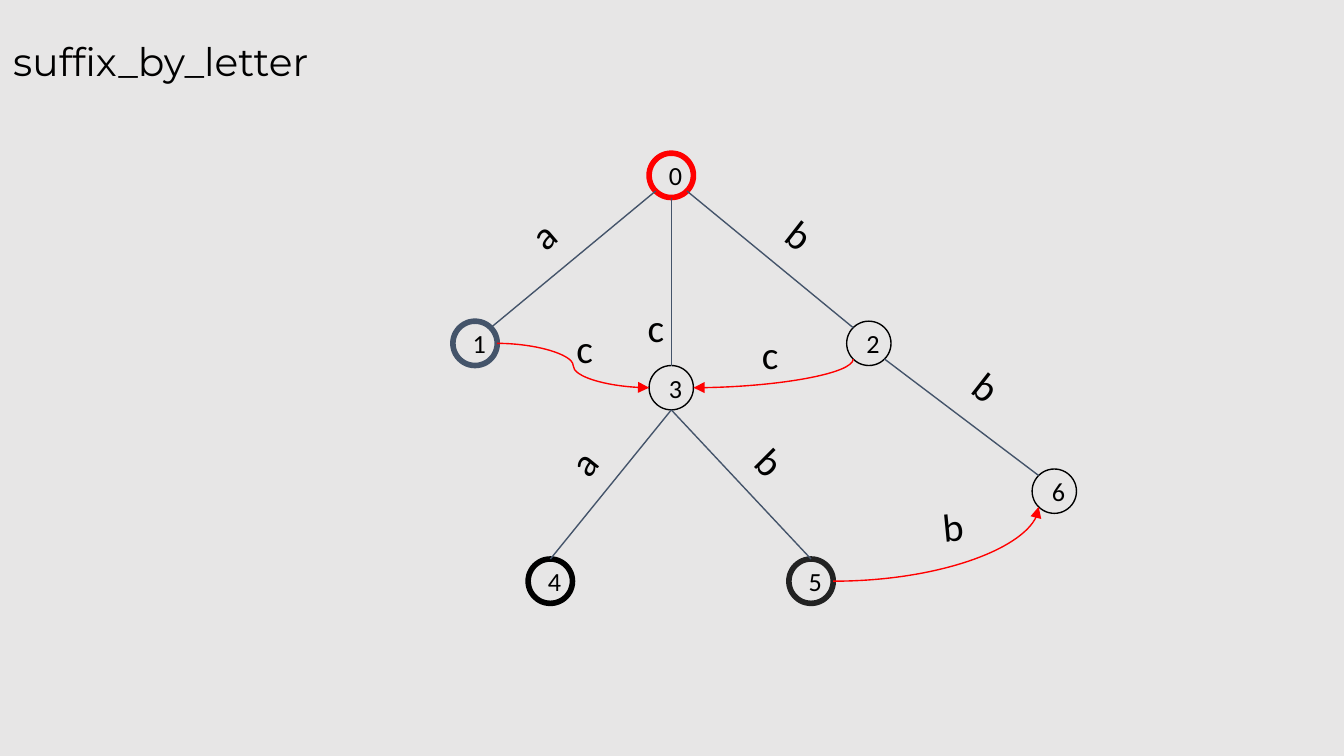
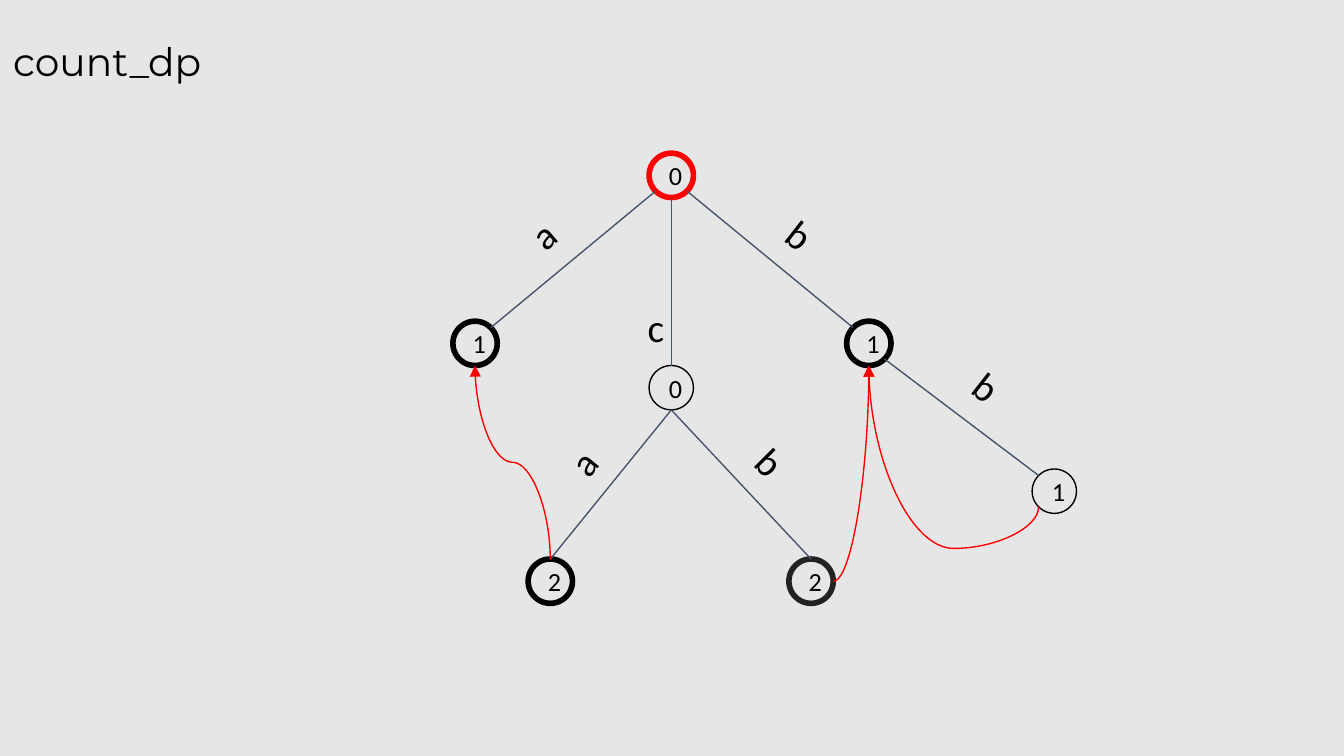
from math import sqrt

from lxml import etree
from pptx import Presentation
from pptx.dml.color import RGBColor
from pptx.enum import shapes, text
from pptx.oxml import ns
from pptx.util import Inches, Pt

# Colours and type
GREY = RGBColor(0xE7, 0xE6, 0xE6)
BLACK = RGBColor(0, 0, 0)
CHARCOAL = RGBColor(0x22, 0x22, 0x22)
SLATE = RGBColor(0x44, 0x54, 0x6A)
RED = RGBColor(0xFF, 0, 0)
BODY_FONT, TITLE_FONT = "Calibri", "Montserrat"
THIN, THICK = 0.75, 3

# Trie layout: left and top of each node
SIZE = 0.33
NODES = [(4.83, 1.14), (3.37, 2.39), (6.3, 2.39), (4.83, 2.72),
         (3.93, 4.16), (5.87, 4.16), (7.68, 3.49)]
DIAGONAL = 1 / sqrt(2)
SITES = {
    "top": (0, -1), "bottom": (0, 1), "left": (-1, 0), "right": (1, 0),
    "top left": (-DIAGONAL, -DIAGONAL), "top right": (DIAGONAL, -DIAGONAL),
    "bottom left": (-DIAGONAL, DIAGONAL), "bottom right": (DIAGONAL, DIAGONAL),
}

# Edges as (parent, site, child, site)
EDGES = [
    (0, "bottom right", 2, "top left"),
    (1, "top right", 0, "bottom left"),
    (0, "bottom", 3, "top"),
    (3, "bottom", 4, "top"),
    (3, "bottom", 5, "top"),
    (2, "bottom right", 6, "top left"),
]
# Letters as (letter, left, top, rotation)
EDGE_LETTERS = [
    ("a", 3.6, 1.47, 319.4), ("b", 5.51, 1.47, 38), ("c", 4.44, 2.16, 0),
    ("b", 5.29, 3.16, 45), ("a", 3.9, 3.16, 309.2), ("b", 6.9, 2.6, 38),
]
SUFFIX_LETTERS = [("c", 3.91, 2.31, 0), ("c", 5.29, 2.36, 0), ("b", 6.65, 3.64, 354.4)]


def site_point(node, site):
    left, top = NODES[node]
    dx, dy = SITES[site]
    return left + SIZE / 2 * (1 + dx), top + SIZE / 2 * (1 + dy)


def write(shape, words, size, font, align):
    tf = shape.text_frame
    tf.word_wrap = True
    tf.margin_left = tf.margin_right = tf.margin_top = tf.margin_bottom = Inches(0.1)
    tf.text = words
    p = tf.paragraphs[0]
    p.alignment = align
    f = p.runs[0].font
    f.size, f.name = Pt(size), font
    f.color.rgb = BLACK
    return p


def add_text(s, words, left, top, width, font, align):
    box = s.shapes.add_textbox(Inches(left), Inches(top), Inches(width), Inches(0.56))
    p = write(box, words, 21, font, align)
    box.text_frame.auto_size = text.MSO_AUTO_SIZE.SHAPE_TO_FIT_TEXT
    return box, p


def add_title(s, words):
    _, p = add_text(s, words, 0, 0, 3.28, TITLE_FONT, text.PP_ALIGN.LEFT)
    p.line_spacing = 1.5
    p.space_before = Pt(8)


def add_letter(s, letter, left, top, rotation):
    box, _ = add_text(s, letter, left, top, 0.88, BODY_FONT, text.PP_ALIGN.CENTER)
    box.rotation = rotation


def add_node(s, node, value, color, weight):
    left, top = NODES[node]
    sp = s.shapes.add_shape(shapes.MSO_SHAPE.OVAL, Inches(left), Inches(top),
                            Inches(SIZE), Inches(SIZE))
    sp.shadow.inherit = False
    sp.fill.solid()
    sp.fill.fore_color.rgb = GREY
    sp.line.color.rgb = color
    sp.line.width = Pt(weight)
    write(sp, value, 14, BODY_FONT, text.PP_ALIGN.CENTER)
    sp.text_frame.vertical_anchor = text.MSO_ANCHOR.MIDDLE


def add_line(s, kind, start, end, color):
    c = s.shapes.add_connector(kind, *(Inches(v) for v in (*start, *end)))
    c.line.color.rgb = color
    c.line.width = Pt(THIN)
    etree.SubElement(c._element.spPr, ns.qn("a:effectLst"))
    return c


def add_edge(s, parent, parent_site, child, child_site):
    add_line(s, shapes.MSO_CONNECTOR.STRAIGHT, site_point(parent, parent_site),
             site_point(child, child_site), SLATE)


def add_arrow(s, source, source_site, target, target_site, preset, vertical=False, adjust=None):
    """Curved red arrow; a vertical one leaves its source up or down."""
    (x1, y1), (x2, y2) = site_point(source, source_site), site_point(target, target_site)
    if vertical:
        # Lay the curve on its side; a quarter turn then brings it to its ends
        cx, cy, dx, dy = (x1 + x2) / 2, (y1 + y2) / 2, (x2 - x1) / 2, (y2 - y1) / 2
        x1, y1, x2, y2 = cx - dy, cy + dx, cx + dy, cy - dx
    c = add_line(s, shapes.MSO_CONNECTOR.CURVE, (x1, y1), (x2, y2), RED)
    sp_pr = c._element.spPr
    if vertical:
        sp_pr.find(ns.qn("a:xfrm")).set("rot", "5400000")
    geom = sp_pr.find(ns.qn("a:prstGeom"))
    geom.set("prst", preset)
    if adjust is not None:
        etree.SubElement(geom.find(ns.qn("a:avLst")), ns.qn("a:gd"),
                         name="adj1", fmla=f"val {adjust}")
    etree.SubElement(sp_pr.find(ns.qn("a:ln")), ns.qn("a:tailEnd"), type="triangle")


def add_trie(prs, title, values, rims, letters, arrows):
    s = prs.slides.add_slide(prs.slide_layouts[6])
    s.background.fill.solid()
    s.background.fill.fore_color.rgb = GREY
    for node, value in enumerate(values):
        add_node(s, node, value, *rims.get(node, (BLACK, THIN)))
    for edge in EDGES:
        add_edge(s, *edge)
    for letter in letters:
        add_letter(s, *letter)
    for arrow in arrows:
        add_arrow(s, *arrow)
    add_title(s, title)


def main():
    # Widescreen page, 16:9
    prs = Presentation()
    prs.slide_width = Inches(10)
    prs.slide_height = prs.slide_width * 9 // 16
    rims = {0: (RED, THICK), 4: (BLACK, THICK), 5: (CHARCOAL, THICK)}

    # Suffix links by letter
    add_trie(prs, "suffix_by_letter", "0123456", {**rims, 1: (SLATE, THICK)},
             EDGE_LETTERS + SUFFIX_LETTERS, [
                 (1, "right", 3, "left", "curvedConnector3"),
                 (2, "bottom left", 3, "right", "curvedConnector2", True),
                 (5, "right", 6, "bottom left", "curvedConnector2"),
             ])

    # Word counts along suffix links
    add_trie(prs, "count_dp", "0110221", {**rims, 1: (BLACK, THICK), 2: (BLACK, THICK)},
             EDGE_LETTERS, [
                 (4, "top", 1, "bottom", "curvedConnector3", True),
                 (5, "right", 2, "bottom", "curvedConnector2"),
                 (6, "bottom left", 2, "bottom", "curvedConnector3", True, -29400),
             ])
    prs.save("out.pptx")


if __name__ == "__main__":
    main()
